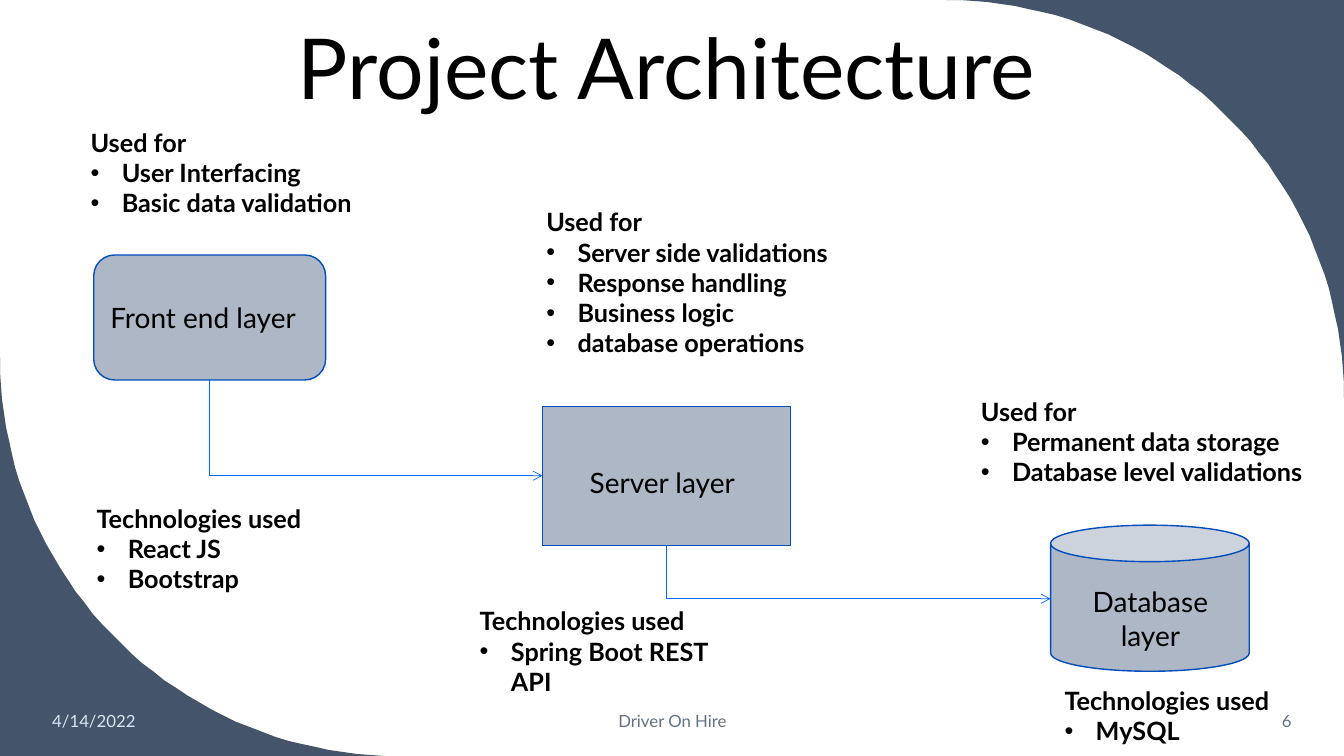
import math

from lxml import etree
from pptx import Presentation
from pptx import util as u
from pptx.dml.color import RGBColor
from pptx.enum import shapes, text
from pptx.oxml import ns

PX = 9144  # EMU per px, 100 px to the inch
PAGE_W, PAGE_H = 1333, 750
CORNER_RADIUS = 395
BULLET_INDENT = 31

BLACK = RGBColor(0x00, 0x00, 0x00)
SLATE = RGBColor(0x44, 0x54, 0x6A)
LAYER_FILL = RGBColor(0xAD, 0xB7, 0xC5)
LAYER_LINE = RGBColor(0x00, 0x4D, 0xBD)
ARROW_BLUE = RGBColor(0x00, 0x68, 0xFF)
DATE_BLUE = RGBColor(0xDA, 0xE5, 0xEF)
FOOTER_GREY = RGBColor(0x63, 0x71, 0x83)

LEFT, CENTER, RIGHT = text.PP_ALIGN.LEFT, text.PP_ALIGN.CENTER, text.PP_ALIGN.RIGHT
TOP, MIDDLE, BOTTOM = text.MSO_ANCHOR.TOP, text.MSO_ANCHOR.MIDDLE, text.MSO_ANCHOR.BOTTOM

LAYERS = [
    (shapes.MSO_SHAPE.ROUNDED_RECTANGLE, (93, 253, 230, 124)),
    (shapes.MSO_SHAPE.RECTANGLE, (538, 403, 246, 138)),
    (shapes.MSO_SHAPE.CAN, (1042, 521, 197, 145)),
]
LAYER_NAMES = [
    ("Front end layer", (80, 293, 243, 44), CENTER),
    ("Server layer", (575, 457, 183, 44), LEFT),
    ("Database layer", (1049, 575, 184, 77), CENTER),
]
ARROWS = [((208, 376), (538, 472)), ((661, 541), (1042, 594))]
NOTES = [
    ("Technologies used", ["React JS", "Bootstrap"], (86, 494, 264, 101)),
    ("Used for", ["User Interfacing", "Basic data validation"], (80, 121, 308, 101)),
    ("Used for",
     ["Server side validations", "Response handling", "Business logic", "database operations"],
     (532, 200, 354, 162)),
    ("Technologies used", ["MySQL"], (1046, 675, 266, 71)),
    ("Technologies used", ["Spring Boot REST API"], (466, 596, 266, 101)),
    ("Used for", ["Permanent data storage", "Database level validations"], (963, 388, 375, 131)),
]
FOOTERS = [
    ("4/14/2022", (42, 695, 186, 40), LEFT, DATE_BLUE),
    ("Driver On Hire", (442, 695, 450, 40), CENTER, FOOTER_GREY),
    ("6", (1110, 695, 181, 40), RIGHT, FOOTER_GREY),
]


def emu(lengths):
    return [length * PX for length in lengths]


def apply(target, values):
    for name, value in values.items():
        setattr(target, name, value)


def paint(shape, color):
    shape.shadow.inherit = False
    shape.fill.solid()
    shape.fill.fore_color.rgb = color


def add_corner(page, center_x, center_y, sign):
    """Fill the gap between a page corner and a quarter circle; sign 1 is top right, -1 bottom left."""
    reach = sign * CORNER_RADIUS
    angles = [math.radians(degree) for degree in range(0, 91, 2)]
    arc = [(center_x + reach * math.sin(a), center_y - reach * math.cos(a)) for a in angles]
    builder = page.shapes.build_freeform(*arc[0], scale=PX)
    builder.add_line_segments(arc[1:] + [(center_x + reach, center_y - reach)], close=True)
    corner = builder.convert_to_shape()
    paint(corner, SLATE)
    corner.line.fill.background()


def add_layer(page, kind, place):
    layer = page.shapes.add_shape(kind, *emu(place))
    paint(layer, LAYER_FILL)
    layer.line.color.rgb = LAYER_LINE
    layer.line.width = u.Pt(1)


def add_bullet(para):
    props = para._p.get_or_add_pPr()
    props.set("marL", str(BULLET_INDENT * PX))
    props.set("indent", str(-BULLET_INDENT * PX))
    etree.SubElement(props, ns.qn("a:buFont"), typeface="Arial")
    etree.SubElement(props, ns.qn("a:buChar"), char="•")


def add_text(page, lines, place, size, color=BLACK, align=LEFT, anchor=TOP,
             bold=False, spacing=None):
    """Add a text box whose lines after the first are bullets."""
    box = page.shapes.add_textbox(*emu(place))
    frame = box.text_frame
    apply(frame, {"word_wrap": True, "vertical_anchor": anchor})
    for index, line in enumerate(lines):
        para = frame.add_paragraph() if index else frame.paragraphs[0]
        apply(para, {"alignment": align, "line_spacing": spacing})
        if index:
            add_bullet(para)
        span = para.add_run()
        span.text = line
        apply(span.font, {"name": "Lato", "size": u.Pt(size), "bold": bold})
        span.font.color.rgb = color


def add_arrow(page, start, end):
    """Add an arrow that runs down from start, then right to end."""
    arrow = page.shapes.add_connector(shapes.MSO_CONNECTOR.ELBOW, *emu(start + end))
    across, down = end[0] - start[0], end[1] - start[1]
    # The one-bend preset goes right, then down: a flip and a quarter turn swap its legs.
    middle_x, middle_y = (start[0] + end[0]) / 2, (start[1] + end[1]) / 2
    apply(arrow, {
        "left": int((middle_x - down / 2) * PX),
        "top": int((middle_y - across / 2) * PX),
        "width": down * PX,
        "height": across * PX,
    })
    props = arrow._element.spPr
    props.find(ns.qn("a:prstGeom")).set("prst", "bentConnector2")
    frame = props.find(ns.qn("a:xfrm"))
    frame.set("rot", "5400000")
    frame.set("flipV", "1")
    arrow.line.color.rgb = ARROW_BLUE
    arrow.line.width = u.Pt(0.5)
    etree.SubElement(props.find(ns.qn("a:ln")), ns.qn("a:tailEnd"), type="arrow")
    etree.SubElement(props, ns.qn("a:effectLst"))


def main():
    deck = Presentation()
    apply(deck, {"slide_width": PAGE_W * PX, "slide_height": PAGE_H * PX})
    page = deck.slides.add_slide(deck.slide_layouts[6])

    add_corner(page, PAGE_W - CORNER_RADIUS, CORNER_RADIUS, 1)
    add_corner(page, CORNER_RADIUS, PAGE_H - CORNER_RADIUS, -1)
    for label, place, align, color in FOOTERS:
        add_text(page, [label], place, 12, color, align, MIDDLE)
    for kind, place in LAYERS:
        add_layer(page, kind, place)
    for start, end in ARROWS:
        add_arrow(page, start, end)
    for name, place, align in LAYER_NAMES:
        add_text(page, [name], place, 20, align=align)
    for heading, items, place in NOTES:
        add_text(page, [heading, *items], place, 18, bold=True)
    add_text(page, ["Project Architecture"], (172, 25, 978, 95), 60,
             align=CENTER, anchor=BOTTOM, spacing=0.8)

    deck.save("out.pptx")


if __name__ == "__main__":
    main()
